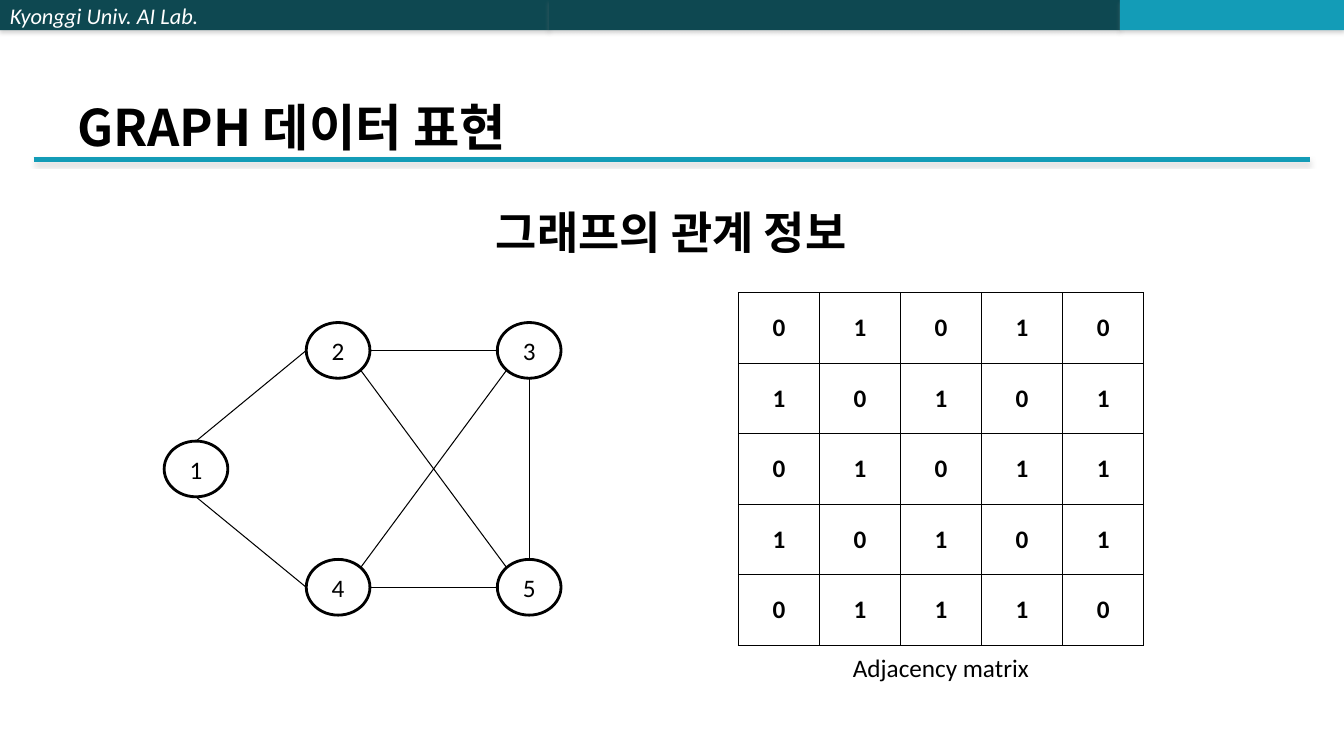
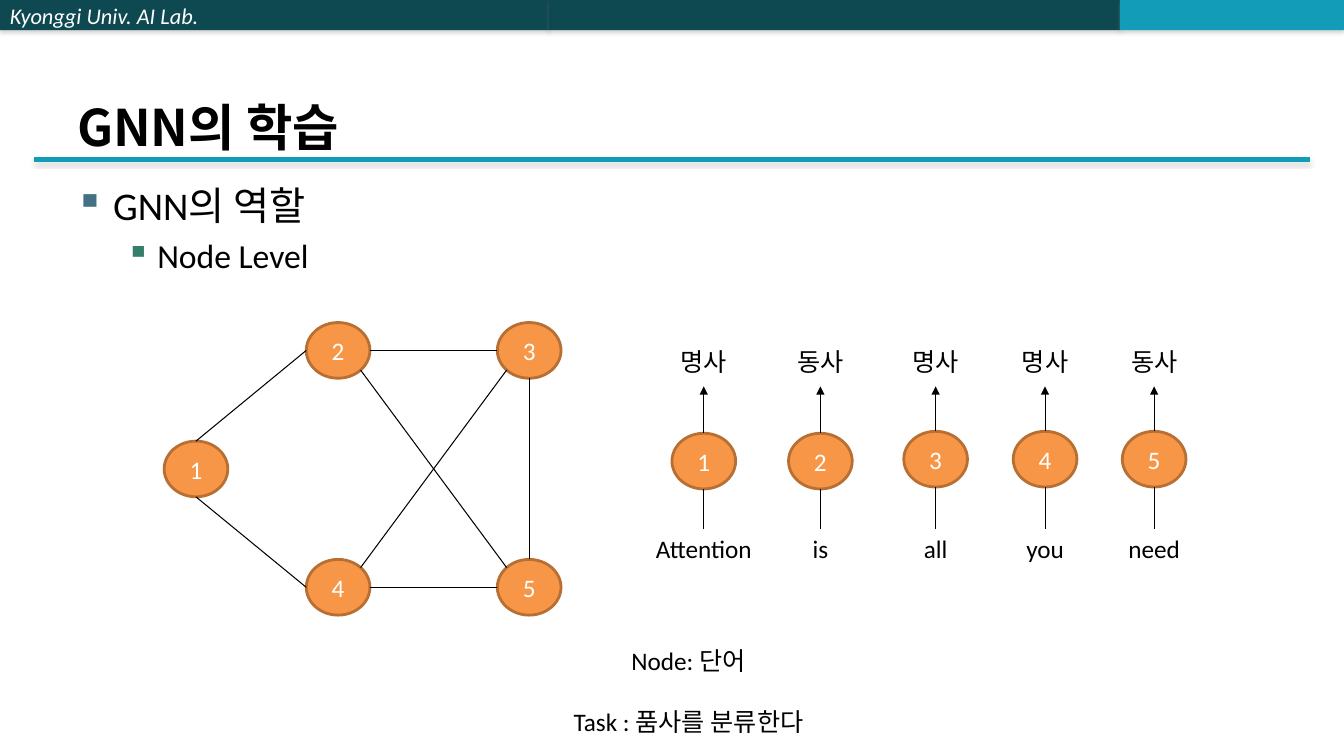
from dataclasses import dataclass
from math import cos, radians, sin

from lxml import etree
from pptx import Presentation
from pptx.dml.color import RGBColor
from pptx.enum.shapes import MSO_CONNECTOR, MSO_SHAPE
from pptx.enum.text import MSO_ANCHOR, PP_ALIGN
from pptx.oxml.ns import qn
from pptx.util import Pt

RECT, OVAL = MSO_SHAPE.RECTANGLE, MSO_SHAPE.OVAL
STRAIGHT = MSO_CONNECTOR.STRAIGHT
LEFT, CENTER = PP_ALIGN.LEFT, PP_ALIGN.CENTER
TOP, MIDDLE, BOTTOM = MSO_ANCHOR.TOP, MSO_ANCHOR.MIDDLE, MSO_ANCHOR.BOTTOM

SITE_TOP, SITE_TL, SITE_LEFT, SITE_BL, SITE_BOTTOM, SITE_BR, SITE_RIGHT, SITE_TR = range(8)


@dataclass(frozen=True)
class Theme:
    black: str = "000000"
    white: str = "FFFFFF"
    band: str = "0E4851"
    accent: str = "139CB7"
    shadow: str = "808080"
    orange: str = "F79646"
    orange_line: str = "B76F34"
    bullets: tuple = ("437085", "357E69")
    font: str = "Calibri"
    title_font: str = "Noto Sans CJK KR"
    title: int = 36
    heading: int = 32
    levels: tuple = (28, 24)
    text: int = 18
    band_text: int = 16


def rgb(value):
    return RGBColor.from_string(value)


def sub(parent, tag, **attrs):
    return etree.SubElement(parent, qn(tag), **attrs)


class Deck:
    node_w, node_h = 45.5, 39.8

    def __init__(self, theme):
        self.t = theme
        self.prs = Presentation()
        self.prs.slide_width, self.prs.slide_height = Pt(960), Pt(540)

    def slide(self, title):
        t = self.t
        self.s = self.prs.slides.add_slide(self.prs.slide_layouts[6])
        for x, w, color, text in ((0, 392, t.band, "Kyonggi Univ. AI Lab."),
                                  (392, 408, t.band, ""), (800, 160, t.accent, "")):
            sp = self.shape(RECT, x, 0, w, 21.6, color)
            self.shadow(sp, 1.8, 35)
            if text:
                self.fill_text(sp.text_frame, text, t.band_text, t.white,
                               align=LEFT, anchor=MIDDLE, italic=True)
        rule = self.line((24, 114), (936, 114), t.accent, 3)
        self.shadow(rule, 1.6, 38)
        tf = self.text(title, 48, 21.6, 864, 90, t.title, align=LEFT,
                       anchor=BOTTOM, bold=True, font=t.title_font)
        tf.margin_bottom = 0

    def shadow(self, sp, dist, alpha):
        pr = sp._element.spPr
        for old in pr.findall(qn("a:effectLst")):
            pr.remove(old)
        shade = sub(sub(pr, "a:effectLst"), "a:outerShdw", blurRad=str(Pt(3.1)),
                    dist=str(Pt(dist)), dir="5400000", rotWithShape="0")
        color = sub(shade, "a:srgbClr", val=self.t.shadow)
        sub(color, "a:alpha", val=str(alpha * 1000))

    def shape(self, kind, x, y, w, h, fill, line=None):
        sp = self.s.shapes.add_shape(kind, Pt(x), Pt(y), Pt(w), Pt(h))
        sp.shadow.inherit = False
        sp.fill.solid()
        sp.fill.fore_color.rgb = rgb(fill)
        if line:
            sp.line.color.rgb = rgb(line)
            sp.line.width = Pt(2)
        else:
            sp.line.fill.background()
        return sp

    def line(self, start, end, color=None, width=0.75, arrow=False):
        c = self.s.shapes.add_connector(STRAIGHT, *(Pt(v) for v in (*start, *end)))
        c.line.color.rgb = rgb(color or self.t.black)
        c.line.width = Pt(width)
        if arrow:
            sub(c._element.spPr.find(qn("a:ln")), "a:tailEnd", type="triangle")
        sub(c._element.spPr, "a:effectLst")
        return c

    def run(self, p, text, size, color=None, bold=False, italic=False, font=None):
        r = p.add_run()
        r.text = text
        f = r.font
        f.size, f.bold, f.italic = Pt(size), bold, italic
        f.color.rgb = rgb(color or self.t.black)
        f.name = font or self.t.font
        sub(r._r.get_or_add_rPr(), "a:ea", typeface=f.name)

    def fill_text(self, tf, text, size, color=None, align=CENTER, anchor=TOP, gap=0, **style):
        tf.word_wrap = True
        tf.vertical_anchor = anchor
        for i, row in enumerate(text.split("\n")):
            p = tf.add_paragraph() if i else tf.paragraphs[0]
            p.alignment = align
            if i:
                p.space_before = Pt(gap)
            self.run(p, row, size, color, **style)

    def text(self, text, x, y, w, h, size=None, **style):
        tf = self.s.shapes.add_textbox(Pt(x), Pt(y), Pt(w), Pt(h)).text_frame
        self.fill_text(tf, text, size or self.t.text, **style)
        return tf

    def outline(self, items, x, y, w, h):
        tf = self.s.shapes.add_textbox(Pt(x), Pt(y), Pt(w), Pt(h)).text_frame
        tf.word_wrap = True
        for i, (level, text) in enumerate(items):
            p = tf.add_paragraph() if i else tf.paragraphs[0]
            p.level = level
            if i:
                p.space_before = Pt(5)
            margin, indent = ((27, -27), (58.5, -22.5))[level]
            pr = p._p.get_or_add_pPr()
            pr.set("marL", str(Pt(margin)))
            pr.set("indent", str(Pt(indent)))
            sub(sub(pr, "a:buClr"), "a:srgbClr", val=self.t.bullets[level])
            sub(pr, "a:buChar", char="▪")
            self.run(p, text, self.t.levels[level])

    def node(self, label, cx, cy, fill, line, color):
        w, h = self.node_w, self.node_h
        sp = self.shape(OVAL, cx - w / 2, cy - h / 2, w, h, fill, line)
        self.fill_text(sp.text_frame, label, self.t.text, color, anchor=MIDDLE)
        return sp

    def site(self, node, index):
        angle = radians(45 * index)
        rx, ry = node.width.pt / 2, node.height.pt / 2
        return (node.left.pt + rx * (1 - sin(angle)),
                node.top.pt + ry * (1 - cos(angle)))

    def edge(self, a, a_site, b, b_site):
        c = self.line(self.site(a, a_site), self.site(b, b_site))
        joints = c._element.nvCxnSpPr.cNvCxnSpPr
        sub(joints, "a:stCxn", id=str(a.shape_id), idx=str(a_site))
        sub(joints, "a:endCxn", id=str(b.shape_id), idx=str(b_site))

    def graph(self, *colors):
        nodes = {n: self.node(str(n), x, y, *colors) for n, (x, y) in NODES.items()}
        for a, a_site, b, b_site in EDGES:
            self.edge(nodes[a], a_site, nodes[b], b_site)

    def matrix(self, rows, x, y, w, h):
        n = len(rows)
        table = self.s.shapes.add_table(n, n, Pt(x), Pt(y), Pt(w), Pt(h)).table
        table.first_row = table.horz_banding = False
        for i, row in enumerate(rows):
            for j, value in enumerate(row):
                cell = table.cell(i, j)
                pr = cell._tc.get_or_add_tcPr()
                for side in ("a:lnL", "a:lnR", "a:lnT", "a:lnB"):
                    ln = sub(pr, side, w=str(Pt(1)))
                    sub(sub(ln, "a:solidFill"), "a:srgbClr", val=self.t.black)
                cell.fill.solid()
                cell.fill.fore_color.rgb = rgb(self.t.white)
                cell.vertical_anchor = MIDDLE
                p = cell.text_frame.paragraphs[0]
                p.alignment = CENTER
                self.run(p, value, self.t.text, bold=True)

    def token(self, label, word, tag, cx, cy, *colors):
        node = self.node(label, cx, cy, *colors)
        self.line(self.site(node, SITE_TOP), (cx, 276), arrow=True)
        self.line((cx, 378), self.site(node, SITE_BOTTOM))
        for text, y in ((word, 377.3), (tag, 244)):
            self.text(text, cx - 42.5, y, 85, 29)


NODES = {1: (140, 335), 2: (241.5, 250.3), 4: (241.5, 419.5),
         5: (378, 419.5), 3: (378, 250.3)}
EDGES = (
    (1, SITE_TOP, 2, SITE_LEFT),
    (1, SITE_BOTTOM, 4, SITE_LEFT),
    (5, SITE_TOP, 3, SITE_BOTTOM),
    (4, SITE_TR, 3, SITE_BL),
    (5, SITE_TL, 2, SITE_BR),
    (3, SITE_LEFT, 2, SITE_RIGHT),
    (5, SITE_LEFT, 4, SITE_RIGHT),
)
ADJACENCY = ("01010", "10101", "01011", "10101", "01110")
TOKENS = (
    ("Attention", "명사", 502.7, 329.4),
    ("is", "동사", 586, 329.4),
    ("all", "명사", 668.3, 328),
    ("you", "명사", 746.5, 328),
    ("need", "동사", 824.4, 328),
)


def main():
    t = Theme()
    deck = Deck(t)

    deck.slide("GRAPH 데이터 표현")
    deck.graph(t.white, t.black, t.black)
    deck.text("그래프의 관계 정보", 306.7, 142.6, 345.6, 46, t.heading, bold=True)
    deck.matrix(ADJACENCY, 527.5, 209, 289.5, 252)
    deck.text("Adjacency matrix", 561.6, 462.2, 221, 29)

    deck.slide("GNN의 학습")
    deck.outline(((0, "GNN의 역할"), (1, "Node Level")), 46.8, 126, 864, 390)
    orange = (t.orange, t.orange_line, t.white)
    deck.graph(*orange)
    for i, token in enumerate(TOKENS, 1):
        deck.token(str(i), *token, *orange)
    deck.text("Node: 단어\nTask : 품사를 분류한다", 315.4, 457.2, 352.8, 72.7, gap=22)

    deck.prs.save("out.pptx")


if __name__ == "__main__":
    main()
